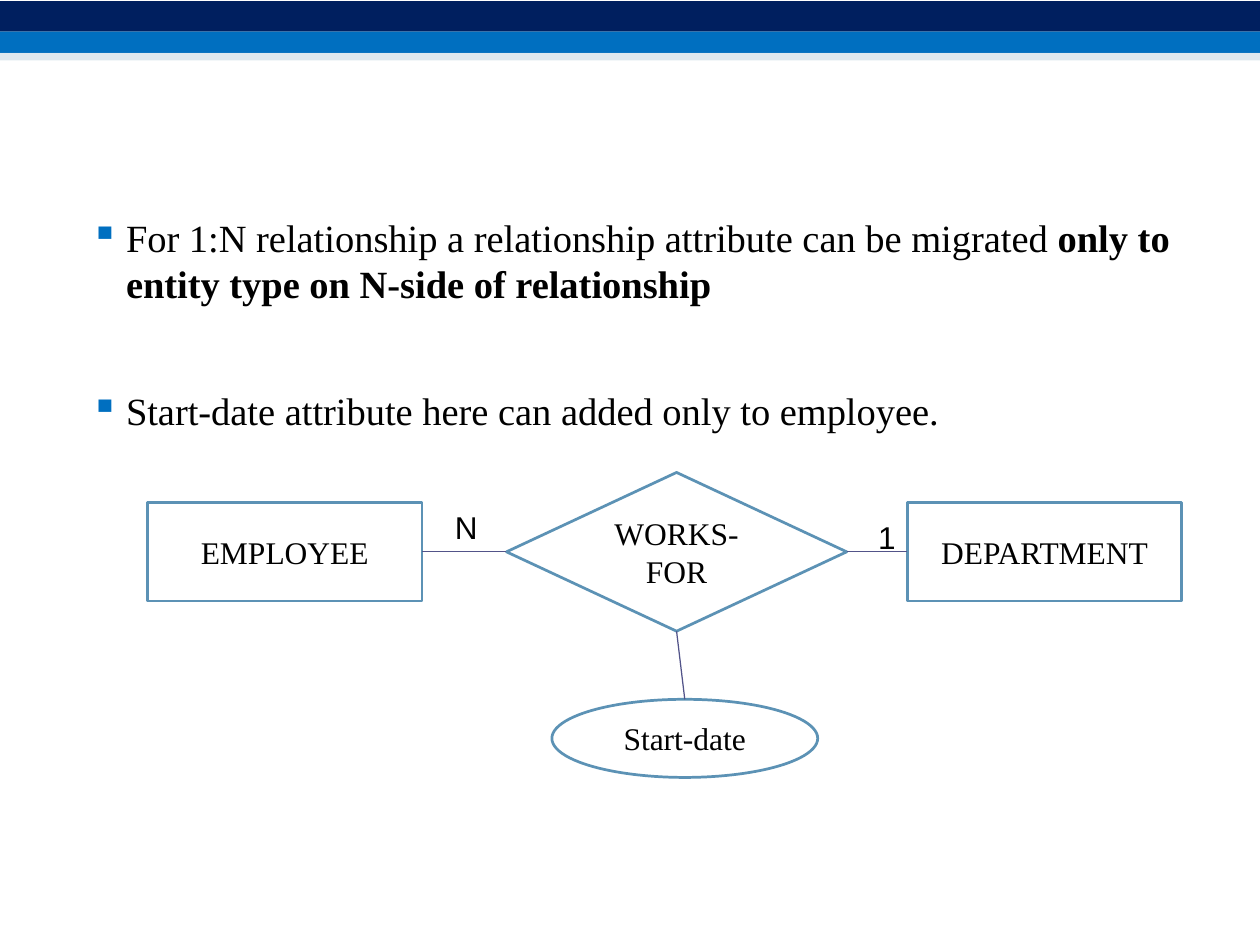
from lxml import etree
from pptx import Presentation
from pptx.dml.color import RGBColor
from pptx.enum import shapes, text
from pptx.oxml import ns
from pptx.util import Inches, Pt

NAVY = RGBColor(0x00, 0x1F, 0x5F)
BLUE = RGBColor(0x00, 0x6F, 0xC0)
PALE = RGBColor(0xBD, 0xD2, 0xE0)
OUTLINE = RGBColor(0x5C, 0x92, 0xB5)
LINK = RGBColor(0x52, 0x53, 0x89)
BLACK = RGBColor(0, 0, 0)
SERIF, SANS = "Times New Roman", "Arial"
SHAPE = shapes.MSO_SHAPE


def add_child(parent, tag, **attributes):
    return etree.SubElement(parent, ns.qn(tag), attributes)


def style_span(span, size, name=SERIF, bold=False):
    span.font.size = Pt(size)
    span.font.name = name
    span.font.bold = bold
    span.font.color.rgb = BLACK


def clear_margins(frame):
    frame.margin_left = frame.margin_right = 0
    frame.margin_top = frame.margin_bottom = 0


def add_band(page, top, height, color, alpha=None):
    band = page.shapes.add_shape(
        SHAPE.RECTANGLE, 0, Inches(top), Inches(10), Inches(height))
    band.shadow.inherit = False
    band.fill.solid()
    band.fill.fore_color.rgb = color
    band.line.fill.background()
    if alpha is not None:
        color_node = band.fill._xPr.find(".//" + ns.qn("a:srgbClr"))
        add_child(color_node, "a:alpha", val=str(alpha * 1000))


def add_node(page, kind, label, left, top, width, height):
    node = page.shapes.add_shape(
        kind, Inches(left), Inches(top), Inches(width), Inches(height))
    node.shadow.inherit = False
    node.fill.background()
    node.line.color.rgb = OUTLINE
    node.line.width = Pt(1.56)
    frame = node.text_frame
    clear_margins(frame)
    frame.word_wrap = True
    frame.vertical_anchor = text.MSO_ANCHOR.MIDDLE
    frame.text = label
    para = frame.paragraphs[0]
    para.alignment = text.PP_ALIGN.CENTER
    style_span(para.runs[0], 18)
    return node


def join(page, start, start_site, end, end_site):
    link = page.shapes.add_connector(shapes.MSO_CONNECTOR.STRAIGHT, 0, 0, 0, 0)
    link.begin_connect(start, start_site)
    link.end_connect(end, end_site)
    link.line.color.rgb = LINK
    link.line.width = Pt(0.72)
    add_child(link._element.spPr, "a:effectLst")


def add_cardinality(page, label, left, top):
    box = page.shapes.add_textbox(
        Inches(left), Inches(top), Inches(0.21), Inches(0.33))
    clear_margins(box.text_frame)
    box.text_frame.text = label
    style_span(box.text_frame.paragraphs[0].runs[0], 18, SANS)


def add_bullets(page, items):
    """Each item is (space before, [(wording, bold), ...])."""
    box = page.shapes.add_textbox(
        Inches(0.71), Inches(1.7), Inches(8.75), Inches(1.75))
    frame = box.text_frame
    clear_margins(frame)
    frame.word_wrap = True
    for index, (space, spans) in enumerate(items):
        para = frame.add_paragraph() if index else frame.paragraphs[0]
        para.space_before = Pt(space)
        for wording, bold in spans:
            span = para.add_run()
            span.text = wording
            style_span(span, 22, bold=bold)
        # Hanging blue square
        props = para._p.get_or_add_pPr()
        props.set("marL", str(Inches(0.29)))
        props.set("indent", str(Inches(-0.28)))
        add_child(add_child(props, "a:buClr"), "a:srgbClr", val=str(BLUE))
        add_child(props, "a:buChar", char="▪")


def main():
    deck = Presentation()
    deck.slide_width, deck.slide_height = Inches(10), Inches(7.5)
    page = deck.slides.add_slide(deck.slide_layouts[6])

    # Header bands
    add_band(page, 0.25, 0.17, BLUE)
    add_band(page, 0.01, 0.24, NAVY)
    add_band(page, 0.42, 0.06, PALE, alpha=50)

    # Rules for migrating the attribute
    add_bullets(page, [
        (0.9, [("For 1:N relationship a relationship attribute can be migrated ", False),
               ("only to entity type on N-side of relationship", True)]),
        (46, [("Start-date attribute here can added only to employee.", False)]),
    ])

    # Entities, relationship and its attribute
    employee = add_node(page, SHAPE.RECTANGLE, "EMPLOYEE", 1.17, 3.99, 2.18, 0.78)
    department = add_node(page, SHAPE.RECTANGLE, "DEPARTMENT", 7.2, 3.99, 2.18, 0.78)
    works_for = add_node(page, SHAPE.DIAMOND, "WORKS-FOR", 4.02, 3.75, 2.7, 1.26)
    start_date = add_node(page, SHAPE.OVAL, "Start-date", 4.38, 5.55, 2.11, 0.62)

    # Links and cardinalities
    join(page, employee, 3, works_for, 1)
    join(page, works_for, 3, department, 1)
    join(page, works_for, 2, start_date, 0)
    add_cardinality(page, "1", 6.97, 4.11)
    add_cardinality(page, "N", 3.61, 4.03)

    deck.save("out.pptx")


if __name__ == "__main__":
    main()
